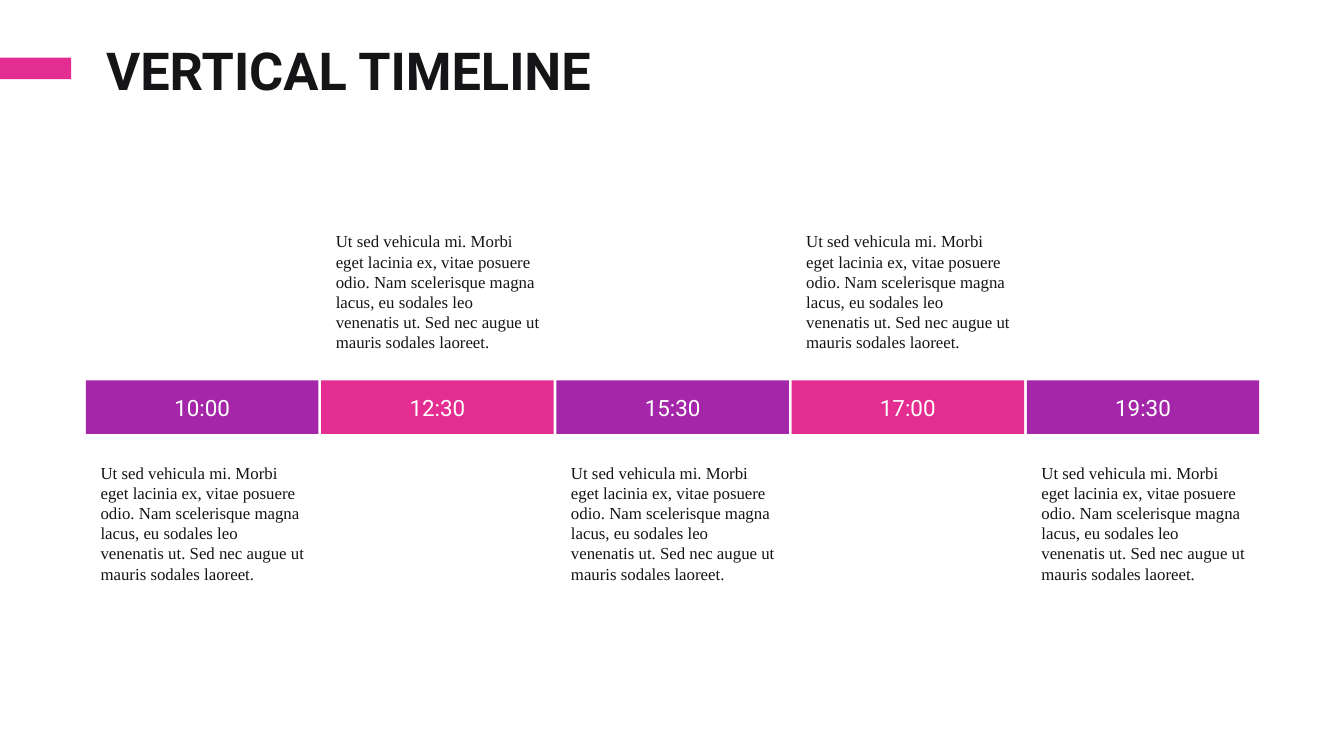
from pptx import Presentation
from pptx.dml.color import RGBColor
from pptx.enum.shapes import MSO_SHAPE
from pptx.enum.text import MSO_ANCHOR, MSO_AUTO_SIZE, PP_ALIGN
from pptx.util import Inches, Pt

RECT = MSO_SHAPE.RECTANGLE
MIDDLE = MSO_ANCHOR.MIDDLE
LEFT, CENTER = PP_ALIGN.LEFT, PP_ALIGN.CENTER

TITLE = "VERTICAL TIMELINE"
NOTE = ("Ut sed vehicula mi. Morbi eget lacinia ex, vitae posuere odio. "
        "Nam scelerisque magna lacus, eu sodales leo venenatis ut. "
        "Sed nec augue ut mauris sodales laoreet.")
EVENTS = [("10:00", NOTE), ("12:30", NOTE), ("15:30", NOTE),
          ("17:00", NOTE), ("19:30", NOTE)]

THEME = {
    "background": "FFFFFF",
    "accents": ("A427A9", "E32D91"),
    "title": {"name": "Roboto", "size": 28, "bold": True, "color": "151517"},
    "time": {"name": "Roboto", "size": 12, "bold": False, "color": "FFFFFF"},
    "note": {"name": "Times New Roman", "size": 9, "bold": False, "color": "151517"},
}

GRID_LEFT, PITCH, GAP = 0.64, 1.75, 0.02
BAR_TOP, BAR_H = 2.83, 0.4
NOTE_H, NOTE_INDENT = 1.01, 0.01
NOTE_TOPS = (3.39, 1.67)  # below the bar, above the bar


def write(sp, text, style, align=LEFT):
    p = sp.text_frame.paragraphs[0]
    p.alignment = align
    r = p.add_run()
    r.text = text
    formats = dict(THEME[style])
    r.font.color.rgb = RGBColor.from_string(formats.pop("color"))
    formats["size"] = Pt(formats["size"])
    for name, value in formats.items():
        setattr(r.font, name, value)
    return p


def add_bar(shapes, box, color):
    sp = shapes.add_shape(RECT, *map(Inches, box))
    sp.shadow.inherit = False
    sp.fill.solid()
    sp.fill.fore_color.rgb = RGBColor.from_string(color)
    sp.line.fill.background()
    return sp


def add_event(slide, i, time, note):
    """Group a time bar with its note; notes alternate below and above the bar."""
    side = i % 2
    x, w = GRID_LEFT + i * PITCH, PITCH - GAP
    shapes = slide.shapes.add_group_shape().shapes

    bar = add_bar(shapes, (x, BAR_TOP, w, BAR_H), THEME["accents"][side])
    bar.text_frame.vertical_anchor = MIDDLE
    write(bar, time, "time", CENTER)

    box = (x + NOTE_INDENT, NOTE_TOPS[side], w - NOTE_INDENT, NOTE_H)
    sp = shapes.add_textbox(*map(Inches, box))
    sp.text_frame.word_wrap = True
    sp.text_frame.auto_size = MSO_AUTO_SIZE.SHAPE_TO_FIT_TEXT
    write(sp, note, "note")


def main():
    prs = Presentation()
    prs.slide_width = Inches(10)
    prs.slide_height = prs.slide_width * 9 // 16
    slide = prs.slides.add_slide(prs.slide_layouts[5])
    slide.background.fill.solid()
    slide.background.fill.fore_color.rgb = RGBColor.from_string(THEME["background"])

    title = slide.shapes.title
    title.left, title.top, title.width, title.height = map(Inches, (0.69, 0, 8.62, 1.09))
    title.text_frame.vertical_anchor = MIDDLE
    write(title, TITLE, "title").line_spacing = 0.9

    add_bar(slide.shapes, (0, 0.43, 0.53, 0.16), THEME["accents"][1])
    for i, (time, note) in enumerate(EVENTS):
        add_event(slide, i, time, note)

    prs.save("out.pptx")


if __name__ == "__main__":
    main()
